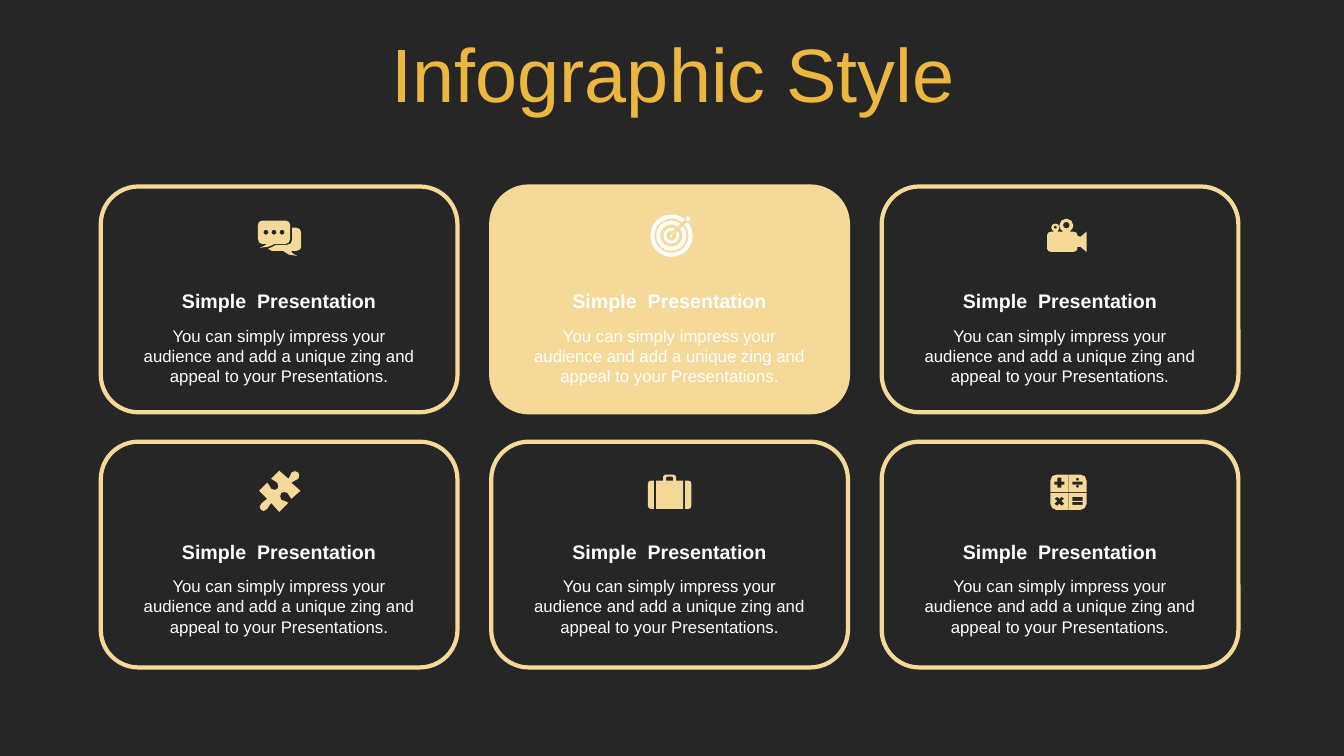
from dataclasses import dataclass
from math import cos, pi, sin

from lxml.etree import SubElement
from pptx import Presentation
from pptx.dml.color import RGBColor as Rgb
from pptx.enum.shapes import MSO_SHAPE as Kind
from pptx.enum.text import MSO_ANCHOR as Anchor, PP_ALIGN as Align
from pptx.oxml.ns import qn
from pptx.util import Cm, Pt

# Content
TITLE = "Infographic Style"
HEAD = "Simple  Presentation"
BODY = "You can simply impress your audience and add a unique zing and appeal to your Presentations."

# Icon outlines in hundredths of an inch: M move, L lines, C curves,
# O circle (centre, radius), R box (left, top, right, bottom)
CHAT = """
O 24 11.5 2.5 O 16 11.5 2.5 O 8 11.5 2.5
M 34 7 L 38 7 C 41 7 43 9 43 12 L 43 26 C 43 28 41 30 38 30 L 33 30
C 34 32 34 33 39 35 31 34 29 34 25 30 L 14 30 10 28
C 13 27 16 25 18 24 L 29 24 C 32 24 34 22 34 19
M 4 0 L 28 0 C 30 0 32 2 32 4 L 32 18 C 32 21 30 23 28 23 L 17 23
C 12 26 10 26 2 27 6 25 7 25 9 23 L 4 23 C 2 23 0 21 0 18 L 0 4 C 0 2 2 0 4 0
"""
DART = """
M 39 0 L 39 4 43 4 39 8 36 8 23 21 23 22 C 23 24 22 25 21 25
20 25 19 24 19 22 19 21 20 20 21 20 L 35 7 35 4
"""
CAMERA = """
O 8 8.5 1.5 O 19 6.5 3.3
M 19 0 C 23 0 26 3 26 7 26 9 24 12 22 13 L 26 13 C 28 13 30 14 30 16
L 30 17 33 18 39 13 39 33 33 28 30 28 30 30
C 30 32 28 33 26 33 L 4 33 C 2 33 0 32 0 30 L 0 16 C 0 14 2 13 4 13 L 7 13
C 5 12 4 10 4 9 4 6 6 5 8 5 11 5 12 6 12 9 12 10 11 12 10 13 L 16 13
C 14 12 12 9 12 7 12 3 15 0 19 0
"""
PUZZLE = """
M 39 2 C 40 3 40 6 39 8 37 10 35 9 32 12 L 41 20 32 28
C 29 26 31 24 28 22 26 21 24 21 22 22 21 24 20 27 22 29 25 31 26 29 29 32
L 20 41 12 32 C 9 35 10 36 8 38 6 41 3 40 2 39 0 37 0 35 2 33 3 30 6 31 8 28
L 0 20 8 12 C 11 14 10 16 12 18 14 20 17 19 18 18 19 17 20 14 18 12
15 9 15 11 12 8 L 20 0 29 8 C 32 5 30 5 32 2 34 0 37 0 39 2
"""
CASE = """
M 37 6 L 40 6 C 42 6 43 7 43 9 L 43 31 C 43 33 42 34 40 34 L 37 34
M 3 6 L 6 6 6 34 3 34 C 1 34 0 33 0 31 L 0 9 C 0 7 1 6 3 6
M 19 2 L 18 3 18 6 25 6 25 3 24 2
M 17 0 L 26 0 28 2 28 6 35 6 35 34 8 34 8 6 15 6 15 2
"""
SUMS = """
R 22 27 32 30 R 22 22 32 26 R 22 7 32 10 O 27 11.5 1.5 O 27 4.5 1.5
M 7 22 L 4 24 7 26 4 29 7 31 9 29 11 31 14 29 11 26 14 24 11 22 9 24
M 7 3 L 7 7 4 7 4 10 7 10 7 13 11 13 11 10 14 10 14 7 11 7 11 3
M 18.3 18 L 36 18 36 29 C 36 32 33 35 30 35 L 18.3 35
M 0 18 L 17.7 18 17.7 35 6 35 C 3 35 0 32 0 29
M 18.3 0 L 30 0 C 33 0 36 2 36 6 L 36 17.2 18.3 17.2
M 17.7 0 L 17.7 17.2 0 17.2 0 6 C 0 2 3 0 6 0
"""
# Target rings: outer radius, thickness
RINGS = [(21, 4), (15, 4), (8, 3)]
HUB = (21.3, 22)
# Outline, left and top in cm; the dart belongs to the filled card
CARDS = [
    (CHAT, 6.5, 5.56), (DART, 16.38, 5.38), (CAMERA, 26.39, 5.51),
    (PUZZLE, 6.53, 11.86), (CASE, 16.33, 11.96), (SUMS, 26.47, 11.96),
]


@dataclass(frozen=True)
class Theme:
    back: Rgb = Rgb(0x26, 0x26, 0x26)
    sand: Rgb = Rgb(0xF5, 0xD9, 0x99)
    white: Rgb = Rgb(0xFF, 0xFF, 0xFF)
    gold: tuple = ((0, "B58312"), (6, "ECB73E"), (69, "F9E8C2"), (100, "ECB73E"))
    font: str = "Arial"
    title: int = 54
    head: int = 14
    body: int = 12


LOOK = Theme()
UNIT = Cm(2.54) / 100
STEPS = 2


def curve(a, b, c, d):
    for i in range(1, STEPS + 1):
        t = i / STEPS
        u = 1 - t
        yield tuple(u**3 * p + 3 * u * u * t * q + 3 * u * t * t * r + t**3 * s
                    for p, q, r, s in zip(a, b, c, d))


def trace(path):
    """Turn an outline into lists of points, one for each contour."""
    loops, mode = [], ""
    parts = iter(path.split())

    def take(count):
        return [float(next(parts)) for _ in range(count)]

    for part in parts:
        if part.isalpha():
            mode = part
            if mode == "M":
                loops.append([tuple(take(2))])
            elif mode == "O":
                x, y, r = take(3)
                turns = [pi * i / 4 for i in range(8)]
                loops.append([(x + r * cos(a), y + r * sin(a)) for a in turns])
            elif mode == "R":
                l, t, r, b = take(4)
                loops.append([(l, t), (r, t), (r, b), (l, b)])
        elif mode == "L":
            loops[-1].append((float(part), *take(1)))
        else:
            x1, y1, x2, y2, x3, y3 = float(part), *take(5)
            loops[-1].extend(curve(loops[-1][-1], (x1, y1), (x2, y2), (x3, y3)))
    return loops


def paint(shape, color):
    shape.shadow.inherit = False
    shape.fill.solid()
    shape.fill.fore_color.rgb = color
    shape.line.fill.background()


def edge(shape, width):
    shape.line.color.rgb = LOOK.sand
    shape.line.width = Pt(width)


def icon(shapes, path, left, top, color):
    pen = None
    for loop in trace(path):
        dots = [(round(Cm(left) + x * UNIT), round(Cm(top) + y * UNIT)) for x, y in loop]
        if pen is None:
            pen = shapes.build_freeform(*dots[0], scale=1.0)
        else:
            pen.move_to(*dots[0])
        pen.add_line_segments(dots[1:], close=True)
    shape = pen.convert_to_shape()
    paint(shape, color)
    return shape


def rings(shapes, left, top):
    for rad, thick in RINGS:
        x, y = Cm(left) + (HUB[0] - rad) * UNIT, Cm(top) + (HUB[1] - rad) * UNIT
        size = round(2 * rad * UNIT)
        ring = shapes.add_shape(Kind.DONUT, round(x), round(y), size, size)
        ring.adjustments[0] = thick / (2 * rad)
        paint(ring, LOOK.white)


def label(shapes, text, box, size, bold=False):
    frame = shapes.add_textbox(*map(Cm, box)).text_frame
    frame.word_wrap = True
    para = frame.paragraphs[0]
    para.text = text
    para.alignment = Align.CENTER
    font = para.font
    font.name, font.size, font.bold = LOOK.font, Pt(size), bold
    font.color.rgb = LOOK.white
    return frame


def gild(run):
    """Give the title its gold gradient."""
    run.font.fill.gradient()
    run.font.fill.gradient_angle = 90
    stops = run.font._element.find(qn("a:gradFill")).find(qn("a:gsLst"))
    for old in list(stops):
        stops.remove(old)
    for spot, color in LOOK.gold:
        stop = SubElement(stops, qn("a:gs"), pos=str(spot * 1000))
        SubElement(stop, qn("a:srgbClr"), val=color)


deck = Presentation()
deck.slide_width, deck.slide_height = Cm(33.87), Cm(19.05)
slide = deck.slides.add_slide(deck.slide_layouts[6])
slide.background.fill.solid()
slide.background.fill.fore_color.rgb = LOOK.back
shapes = slide.shapes

# Title
frame = label(shapes, TITLE, (0.89, 0.79, 32.16, 2.34), LOOK.title)
frame.vertical_anchor = Anchor.MIDDLE
frame.paragraphs[0].line_spacing = 0.9
gild(frame.paragraphs[0].runs[0])

# Cards, three to a row
for i, (path, x, y) in enumerate(CARDS):
    row, col = divmod(i, 3)
    left, drop = 2.54 + col * 9.84, row * 6.31
    card = shapes.add_shape(Kind.ROUNDED_RECTANGLE, Cm(left), Cm(4.7 + row * 6.43), Cm(8.99), Cm(5.69))
    paint(card, LOOK.sand)
    edge(card, 3)
    label(shapes, HEAD, (left + 0.71, 7.16 + drop, 7.57, 0.86), LOOK.head, True)
    label(shapes, BODY, (left + 0.71, 8.08 + drop, 7.57, 1.8), LOOK.body)
    if path is DART:
        rings(shapes, x, y)
        edge(icon(shapes, path, x, y, LOOK.white), 1)
    else:
        card.fill.background()
        icon(shapes, path, x, y, LOOK.sand)

deck.save("out.pptx")
